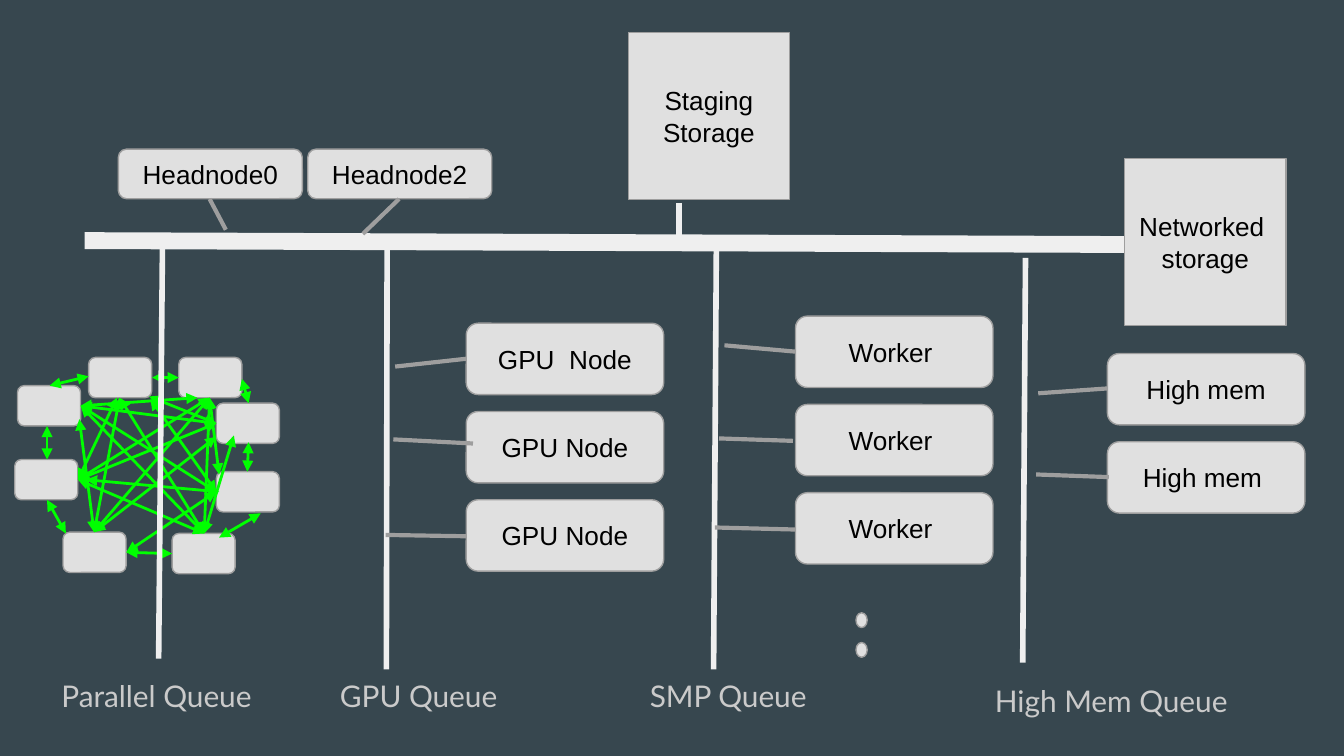
from lxml.etree import SubElement
from pptx import Presentation
from pptx.dml.color import RGBColor
from pptx.enum.shapes import MSO_CONNECTOR, MSO_SHAPE
from pptx.enum.text import MSO_ANCHOR, PP_ALIGN
from pptx.oxml.ns import qn
from pptx.util import Pt

COLORS = {
    "background": "37474F", "node": "E0E0E0", "edge": "9E9E9E",
    "bus": "EFEFEF", "link": "00FF00", "text": "000000", "label": "CACACA",
}
RGB = {name: RGBColor.from_string(value) for name, value in COLORS.items()}

prs = Presentation()
prs.slide_width, prs.slide_height = Pt(720), Pt(405)
slide = prs.slides.add_slide(prs.slide_layouts[6])
slide.background.fill.solid()
slide.background.fill.fore_color.rgb = RGB["background"]


def add_node(x, y, width, height, text="", kind=MSO_SHAPE.ROUNDED_RECTANGLE):
    node = slide.shapes.add_shape(kind, Pt(x), Pt(y), Pt(width), Pt(height))
    node.shadow.inherit = False
    node.fill.solid()
    node.fill.fore_color.rgb = RGB["node"]
    node.line.color.rgb = RGB["edge"]
    node.line.width = Pt(0.75)
    if text:
        frame = node.text_frame
        frame.text = text
        frame.word_wrap = True
        frame.vertical_anchor = MSO_ANCHOR.MIDDLE
        frame.margin_left = frame.margin_right = Pt(7.2)
        frame.margin_top = frame.margin_bottom = Pt(7.2)
        paragraph = frame.paragraphs[0]
        paragraph.alignment = PP_ALIGN.CENTER
        paragraph.font.name, paragraph.font.size = "Arial", Pt(14)
        paragraph.font.color.rgb = RGB["text"]


def add_line(start, end, color, width, arrows=False):
    line = slide.shapes.add_connector(
        MSO_CONNECTOR.STRAIGHT, *(Pt(value) for value in (*start, *end)))
    line.line.color.rgb = RGB[color]
    line.line.width = Pt(width)
    properties = line._element.spPr
    if arrows:
        for side in ("a:headEnd", "a:tailEnd"):
            SubElement(properties.find(qn("a:ln")), qn(side), type="triangle")
    SubElement(properties, qn("a:effectLst"))


# Parallel cluster: eight small nodes
for x, y in [(9.4, 206.6), (47.5, 191.5), (33.8, 285.1), (115.9, 216),
             (95.8, 191.5), (7.9, 246.2), (92.2, 285.8), (115.9, 252.7)]:
    add_node(x, y, 33.8, 21.6)

# Points where the links meet the cluster nodes
left_up, left_low = (43.2, 217.4), (41.8, 257)
top_left, top_right = (64.1, 213.1), (112.3, 213.1)
right_up, right_low = (115.9, 226.8), (115.9, 263.5)
bottom_left, bottom_right = (50.4, 285.1), (109.4, 285.8)

ring_links = [
    ((47.5, 201.6), (26.6, 206.6)), ((25.2, 246.2), (25.2, 228.2)),
    ((95.8, 202.3), (81.4, 202.3)), ((133.2, 216), (129.6, 203)),
    ((132.5, 252.7), (133.2, 236.9)), ((139.7, 275), (117.4, 288)),
    ((92.2, 296.6), (67.7, 295.9)), ((35.3, 285.8), (25.2, 267.8)),
]
cross_links = [
    (right_up, left_up), (top_right, bottom_left), (top_right, left_low),
    (top_left, bottom_left), ((62.6, 213.1), left_low),
    (top_left, bottom_right), ((105.8, 213.1), left_up),
    ((117.4, 254.2), top_right), ((115.9, 234), bottom_left),
    ((125.3, 233.3), bottom_right), (right_up, (79.9, 212.4)),
    (right_up, left_low), ((117.4, 263.5), (46.1, 257)),
    (left_up, bottom_right), (right_low, (67.7, 295.9)),
    (right_low, left_up), (right_low, (80.6, 213.8)),
    (top_right, bottom_right), (bottom_right, left_low),
    ((42.5, 224.6), bottom_left),
]
for start, end in ring_links + cross_links:
    add_line(start, end, "link", 1.5, arrows=True)

# Main bus and the branches hanging from it
add_line((45.4, 128.9), (602.6, 131), "bus", 9)
for start, end in [((87.1, 126.7), (85, 352.8)), ((207.4, 132.5), (207, 358.6)),
                   ((383.8, 128.9), (382.3, 358.6)), ((549.4, 138.2), (547.9, 355)),
                   ((363.6, 108.7), (363.6, 128.2))]:
    add_line(start, end, "bus", 3)

# Head nodes and storage
for x, name in [(63.4, "Headnode0"), (164.9, "Headnode2")]:
    add_node(x, 79.9, 98.6, 26.6, name)
for x, y, name in [(336.6, 17.6, "Staging Storage"),
                   (602.6, 85, "Networked \vstorage")]:
    add_node(x, y, 86.4, 89.3, name, MSO_SHAPE.RECTANGLE)

# Queue nodes, stacked at equal steps
queues = [
    (249.8, 173.2, ["GPU  Node", "GPU Node", "GPU Node"]),
    (426.2, 169.4, ["Worker "] * 3),
    (593.3, 189.4, ["High mem", "High mem "]),
]
for x, top, names in queues:
    for row, name in enumerate(names):
        add_node(x, top + row * 47.3, 105.8, 38.2, name)
for y in (328.3, 344.2):
    add_node(458.6, y, 6, 7.9, kind=MSO_SHAPE.OVAL)

# Grey taps from nodes to the bus
for start, end in [
    ((112.3, 106.6), (121, 123.1)), ((213.8, 106.6), (194.4, 125.3)),
    ((249.8, 192.2), (211.7, 196.4)), ((253.4, 237.6), (210.7, 235.4)),
    ((249.8, 287.3), (206.6, 286.6)), ((426.2, 188.4), (388.1, 185)),
    ((424.8, 236.2), (385.2, 234.9)), ((426.2, 283.7), (383, 282.6)),
    ((593.3, 208.1), (556.2, 210.7)), ((594, 255.6), (555.1, 254.2)),
]:
    add_line(start, end, "edge", 2.25)

# Queue labels
for x, y, width, name in [
    (21.6, 355.7, 124.6, "Parallel Queue"), (162, 355.7, 124.6, "GPU Queue"),
    (318.2, 355.7, 144, "SMP Queue"), (523.4, 358.6, 144, "High Mem Queue"),
]:
    frame = slide.shapes.add_textbox(Pt(x), Pt(y), Pt(width), Pt(26.6)).text_frame
    frame.text = name
    frame.word_wrap = True
    frame.margin_left = frame.margin_right = Pt(7.2)
    frame.margin_top = frame.margin_bottom = Pt(7.2)
    label = frame.paragraphs[0]
    label.alignment = PP_ALIGN.CENTER
    label.space_after = Pt(16)
    label.font.name, label.font.size = "Lato", Pt(16)
    label.font.color.rgb = RGB["label"]

prs.save("out.pptx")
